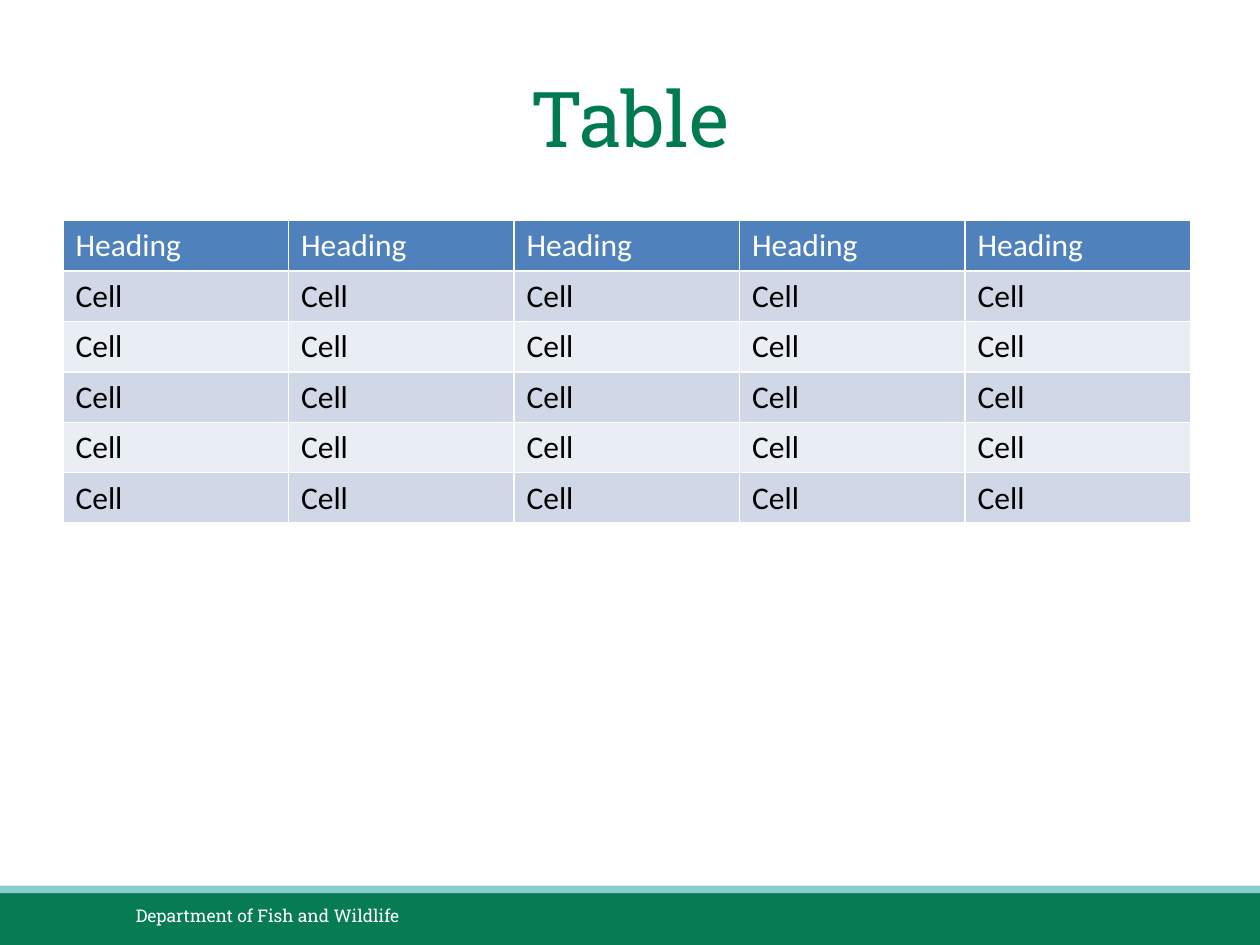
"""Build a slide with a banded table above a department footer."""
from dataclasses import dataclass

from lxml.etree import SubElement
from pptx import Presentation
from pptx.dml.color import RGBColor as Rgb
from pptx.enum.shapes import MSO_SHAPE as Shape
from pptx.enum.text import MSO_ANCHOR as Anchor, PP_ALIGN as Align
from pptx.oxml.ns import qn
from pptx.util import Inches, Pt


@dataclass(frozen=True)
class Theme:
    title_green: str = "007A53"
    footer_green: str = "067B54"
    stripe_teal: str = "8ACCCE"
    header_blue: str = "4F81BD"
    bands: tuple = ("D0D8E8", "E9EDF4")
    white: str = "FFFFFF"
    black: str = "000000"
    slab: str = "Roboto Slab"
    sans: str = "Calibri"
    title_size: int = 44
    table_size: int = 18
    footer_size: int = 10
    border_width: int = 1


def add_run(paragraph, text, font_name, size, color):
    run = paragraph.add_run()
    run.text = text
    run.font.name = font_name
    run.font.size = Pt(size)
    run.font.bold = False
    run.font.color.rgb = Rgb.from_string(color)


def format_cell(cell, fill, border, width):
    properties = cell._tc.get_or_add_tcPr()
    for side in ("lnL", "lnR", "lnT", "lnB"):
        line = SubElement(properties, qn(f"a:{side}"), w=str(Pt(width)))
        SubElement(SubElement(line, qn("a:solidFill")), qn("a:srgbClr"), val=border)
    cell.fill.solid()
    cell.fill.fore_color.rgb = Rgb.from_string(fill)


theme = Theme()
deck = Presentation()
deck.slide_width, deck.slide_height = Inches(10), Inches(7.5)
slide = deck.slides.add_slide(deck.slide_layouts[5])

for top, height, color in ((7.08, 0.42, theme.footer_green), (7.03, 0.06, theme.stripe_teal)):
    band = slide.shapes.add_shape(Shape.RECTANGLE, 0, Inches(top), deck.slide_width, Inches(height))
    band.shadow.inherit = False
    band.fill.solid()
    band.fill.fore_color.rgb = Rgb.from_string(color)
    band.line.fill.background()

department = slide.shapes.add_textbox(Inches(0.98), Inches(7.12), Inches(3.17), Inches(0.3)).text_frame
department.word_wrap = True
department.vertical_anchor = Anchor.MIDDLE
add_run(department.paragraphs[0], "Department of Fish and Wildlife", theme.slab, theme.footer_size, theme.white)

title = slide.shapes.title
title.left, title.top, title.width, title.height = Inches(0.5), Inches(0.3), Inches(9), Inches(1.25)
title.text_frame.vertical_anchor = Anchor.MIDDLE
heading = title.text_frame.paragraphs[0]
heading.alignment = Align.CENTER
add_run(heading, "Table", theme.slab, theme.title_size, theme.title_green)

row_count, column_count = 6, 5
column_width, row_height = Inches(1.79), Inches(0.4)
grid = slide.shapes.add_table(
    row_count, column_count, Inches(0.5), Inches(1.75), column_width * column_count, row_height * row_count
).table
for column in grid.columns:
    column.width = column_width

for index, row in enumerate(grid.rows):
    row.height = row_height
    if index == 0:
        label, fill, color = "Heading", theme.header_blue, theme.white
    else:
        label, fill, color = "Cell", theme.bands[(index - 1) % 2], theme.black
    for cell in row.cells:
        format_cell(cell, fill, theme.white, theme.border_width)
        add_run(cell.text_frame.paragraphs[0], label, theme.sans, theme.table_size, color)

deck.save("out.pptx")
